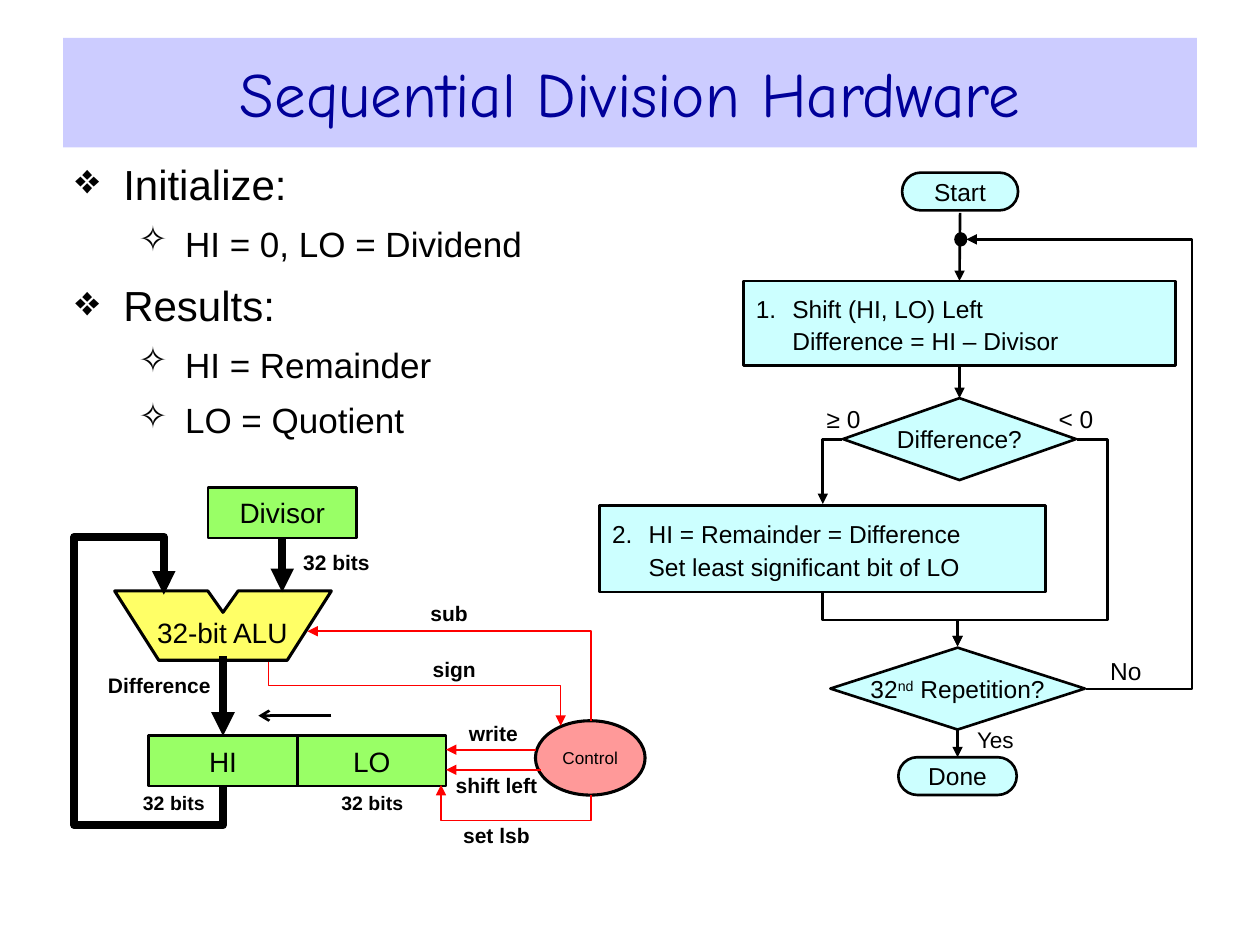
from lxml import etree
from pptx import Presentation
from pptx.dml.color import RGBColor
from pptx.enum.shapes import MSO_CONNECTOR, MSO_SHAPE
from pptx.enum.text import MSO_ANCHOR, PP_ALIGN
from pptx.oxml.ns import qn
from pptx.util import Inches, Pt

RECT, OVAL = MSO_SHAPE.RECTANGLE, MSO_SHAPE.OVAL
TERMINATOR, DECISION = MSO_SHAPE.FLOWCHART_TERMINATOR, MSO_SHAPE.FLOWCHART_DECISION
STRAIGHT = MSO_CONNECTOR.STRAIGHT
LEFT, CENTER, MIDDLE = PP_ALIGN.LEFT, PP_ALIGN.CENTER, MSO_ANCHOR.MIDDLE
TOP_SIDE, BOTTOM_SIDE = 0, 2

BLACK = RGBColor(0, 0, 0)
NAVY = RGBColor(0x00, 0x00, 0x99)
LAVENDER = RGBColor(0xCC, 0xCC, 0xFF)
CYAN = RGBColor(0xCC, 0xFF, 0xFF)
GREEN = RGBColor(0x99, 0xFF, 0x66)
YELLOW = RGBColor(0xFF, 0xFF, 0x66)
PINK = RGBColor(0xFF, 0x99, 0x99)
RED = RGBColor(0xFF, 0, 0)

deck = Presentation()
deck.slide_width, deck.slide_height = Inches(10), Inches(7.5)
page = deck.slides.add_slide(deck.slide_layouts[5])
# Grid of 100 columns by 75 rows
COL, ROW = deck.slide_width // 100, deck.slide_height // 75


def put(kind, left, top, width, height, text="", size=14, fill=None,
        weight=1.5, bold=False, align=CENTER):
    """Add a shape, or a plain label when kind is None; '^' marks superscript."""
    area = [round(left * COL), round(top * ROW), round(width * COL), round(height * ROW)]
    if kind is None:
        box = page.shapes.add_textbox(*area)
    else:
        box = page.shapes.add_shape(kind, *area)
        box.shadow.inherit = False
        box.fill.solid()
        box.fill.fore_color.rgb = fill
        box.line.color.rgb = BLACK
        box.line.width = Pt(weight)
    if not text:
        return box
    frame = box.text_frame
    frame.word_wrap = align == LEFT
    frame.vertical_anchor = MIDDLE
    frame.margin_left = frame.margin_right = COL if align == LEFT else 0
    frame.margin_top = frame.margin_bottom = 0
    for number, line in enumerate(text.split("\n")):
        para = frame.add_paragraph() if number else frame.paragraphs[0]
        para.alignment = align
        for index, part in enumerate(line.split("^")):
            span = para.add_run()
            span.text = part
            if index % 2:
                span._r.get_or_add_rPr().set("baseline", "30000")
        if align == LEFT:
            para.line_spacing = 1.1
            tabs = etree.SubElement(para._p.get_or_add_pPr(), qn("a:tabLst"))
            etree.SubElement(tabs, qn("a:tab"), pos=str(Inches(0.29)), algn="l")
        para.font.name, para.font.size, para.font.bold = "Arial", Pt(size), bold
        para.font.color.rgb = BLACK
    return box


def wire(points, color=BLACK, weight=1.5, head="triangle", start=None, end=None):
    """Draw an arrow through the points; start and end are shapes to join."""
    spots = [(round(x * COL), round(y * ROW)) for x, y in points]
    if len(spots) == 2:
        arrow = page.shapes.add_connector(STRAIGHT, *spots[0], *spots[1])
        if start is not None:
            arrow.begin_connect(start, BOTTOM_SIDE)
        if end is not None:
            arrow.end_connect(end, TOP_SIDE)
    else:
        builder = page.shapes.build_freeform(*spots[0])
        builder.add_line_segments(spots[1:], close=False)
        arrow = builder.convert_to_shape()
        arrow.fill.background()
    arrow.line.color.rgb = color
    arrow.line.width = Pt(weight)
    etree.SubElement(arrow.line._get_or_add_ln(), qn("a:tailEnd"), type=head)
    etree.SubElement(arrow._element.spPr, qn("a:effectLst"))


# Title
title = page.shapes.title
title.left, title.top, title.width, title.height = 5 * COL, 3 * ROW, 90 * COL, round(8.7 * ROW)
title.fill.solid()
title.fill.fore_color.rgb = LAVENDER
title.text_frame.text = "Sequential Division Hardware"
title.text_frame.vertical_anchor = MIDDLE
heading = title.text_frame.paragraphs[0]
heading.alignment = CENTER
heading.font.name, heading.font.size = "Comic Neue", Pt(36)
heading.font.color.rgb = NAVY

# Bullet list
notes = put(None, 5, 12.1, 56.8, 27.4).text_frame
notes.word_wrap = True
# bullet, left margin, hanging indent, space before, size for each level
LEVELS = [("❖", 0.38, 0.38, 9, 24), ("✧", 0.87, 0.37, 7.5, 20)]
items = [(0, "Initialize:"), (1, "HI = 0, LO = Dividend"), (0, "Results:"),
         (1, "HI = Remainder"), (1, "LO = Quotient")]
for number, (level, text) in enumerate(items):
    bullet, margin, hang, gap, size = LEVELS[level]
    para = notes.add_paragraph() if number else notes.paragraphs[0]
    para.text = text
    para.level = level
    if number:
        para.space_before = Pt(gap)
    props = para._p.get_or_add_pPr()
    props.set("marL", str(Inches(margin)))
    props.set("indent", str(-Inches(hang)))
    etree.SubElement(props, qn("a:buChar"), char=bullet)
    para.font.name, para.font.size = "Arial", Pt(size)
    para.font.color.rgb = BLACK

# Flowchart boxes
put(OVAL, 75.8, 18.5, 0.9, 1, fill=BLACK, weight=1)
put(TERMINATOR, 71.6, 13.7, 9.2, 3, "Start", fill=CYAN)
shift_step = put(RECT, 59, 22.3, 34.3, 6.7,
                 "1.\tShift (HI, LO) Left\n\tDifference = HI – Divisor", fill=CYAN, align=LEFT)
sign_test = put(DECISION, 66.9, 31.6, 18.5, 6.5, "Difference?", fill=CYAN)
put(RECT, 47.6, 40.1, 35.4, 6.9,
    "2.\tHI = Remainder = Difference\n\tSet least significant bit of LO", fill=CYAN, align=LEFT)
count_test = put(DECISION, 65.9, 51.4, 20.2, 6.5, "32^nd^ Repetition?", fill=CYAN)
done = put(TERMINATOR, 71.3, 60.1, 9.4, 3, "Done", fill=CYAN)

# Flowchart branch labels
put(None, 83, 31.5, 4.8, 3.4, "< 0")
put(None, 64.6, 31.5, 4.7, 3.4, "≥ 0")
put(None, 87.1, 51.5, 4.5, 3.4, "No")
put(None, 76.6, 57.6, 4.8, 2.2, "Yes", 12.9)

# Flowchart arrows
wire([(76.2, 16.9), (76.15, 22.2)], end=shift_step)
wire([(76.15, 29.1), (76.15, 31.5)], start=shift_step, end=sign_test)
wire([(76, 58), (76, 60)], start=count_test, end=done)
wire([(66.8, 34.9), (65.3, 34.9), (65.3, 40)])
wire([(65.3, 47.1), (65.3, 49.2), (76, 49.2), (76, 51.3)])
wire([(85.5, 34.9), (87.9, 34.9), (87.9, 49.2), (76, 49.2), (76, 51.3)])
wire([(86.2, 54.7), (94.6, 54.7), (94.6, 19), (76.7, 19)])

# Arithmetic unit
outline = [(9.1, 46.9), (16.5, 46.9), (17.7, 48.6), (18.9, 46.9),
           (26.3, 46.9), (22.8, 52.4), (12.6, 52.4)]
corners = [(round(x * COL), round(y * ROW)) for x, y in outline]
builder = page.shapes.build_freeform(*corners[0])
builder.add_line_segments(corners[1:], close=True)
alu = builder.convert_to_shape()
alu.shadow.inherit = False
alu.fill.solid()
alu.fill.fore_color.rgb = YELLOW
alu.line.color.rgb = BLACK
alu.line.width = Pt(1.75)
put(None, 12.1, 48.2, 11.1, 3.9, "32-bit ALU", 16)

# Registers and control
REG_W, REG_H, REG_TOP = 11.8, 4, 58.4
divisor = put(RECT, 16.5, 38.7, REG_W, REG_H, "Divisor", 16, GREEN)
put(RECT, 11.8 + REG_W, REG_TOP, REG_W, REG_H, "LO", 16, GREEN)
high = put(RECT, 11.8, REG_TOP, REG_W, REG_H, "HI", 16, GREEN)
put(OVAL, 42.5, 57.2, 8.7, 5.9, "Control", 9.8, PINK, 1.75)

# Data paths
wire([(22.4, 42.7), (22.4, 47)], weight=4.5, start=divisor)
wire([(17.7, 52.1), (17.7, 58.4)], weight=4.5, end=high)
wire([(17.7, 62.3), (17.7, 65.5), (5.9, 65.5), (5.9, 42.6), (13, 42.6), (13, 47.2)], weight=4.5)
wire([(26.3, 56.8), (20.5, 56.8)], head="arrow")

# Control signals
wire([(46.9, 57.2), (46.9, 50.1), (24.4, 50.1)], RED, 1)
wire([(21.3, 52.5), (21.3, 54.4), (44.5, 54.4), (44.5, 57.6)], RED, 0.75)
wire([(42.5, 59.5), (35.4, 59.5)], RED, 1)
wire([(42.9, 61.1), (35.4, 61.1)], RED, 1)
wire([(46.9, 63.1), (46.9, 65.1), (35, 65.1), (35, 62.3)], RED, 0.75)

# Hardware labels
labels = [
    ("32 bits", 23.5, 43.4, 6.4, 2.4, 12), ("Difference", 8.3, 53.2, 8.7, 2.4, 12),
    ("32 bits", 10.6, 62.7, 6.4, 2, 11.1), ("32 bits", 26.4, 62.7, 6.3, 2, 11.1),
    ("sub", 33.1, 47.7, 5.1, 2, 12), ("sign", 33.5, 52.1, 5.1, 2, 12),
    ("write", 36.6, 57.2, 5.1, 2, 12), ("shift left", 35.8, 61.1, 7.2, 2.4, 12),
    ("set lsb", 35.4, 65.1, 8, 2.4, 12),
]
for text, left, top, width, height, size in labels:
    put(None, left, top, width, height, text, size, bold=True)

deck.save("out.pptx")
